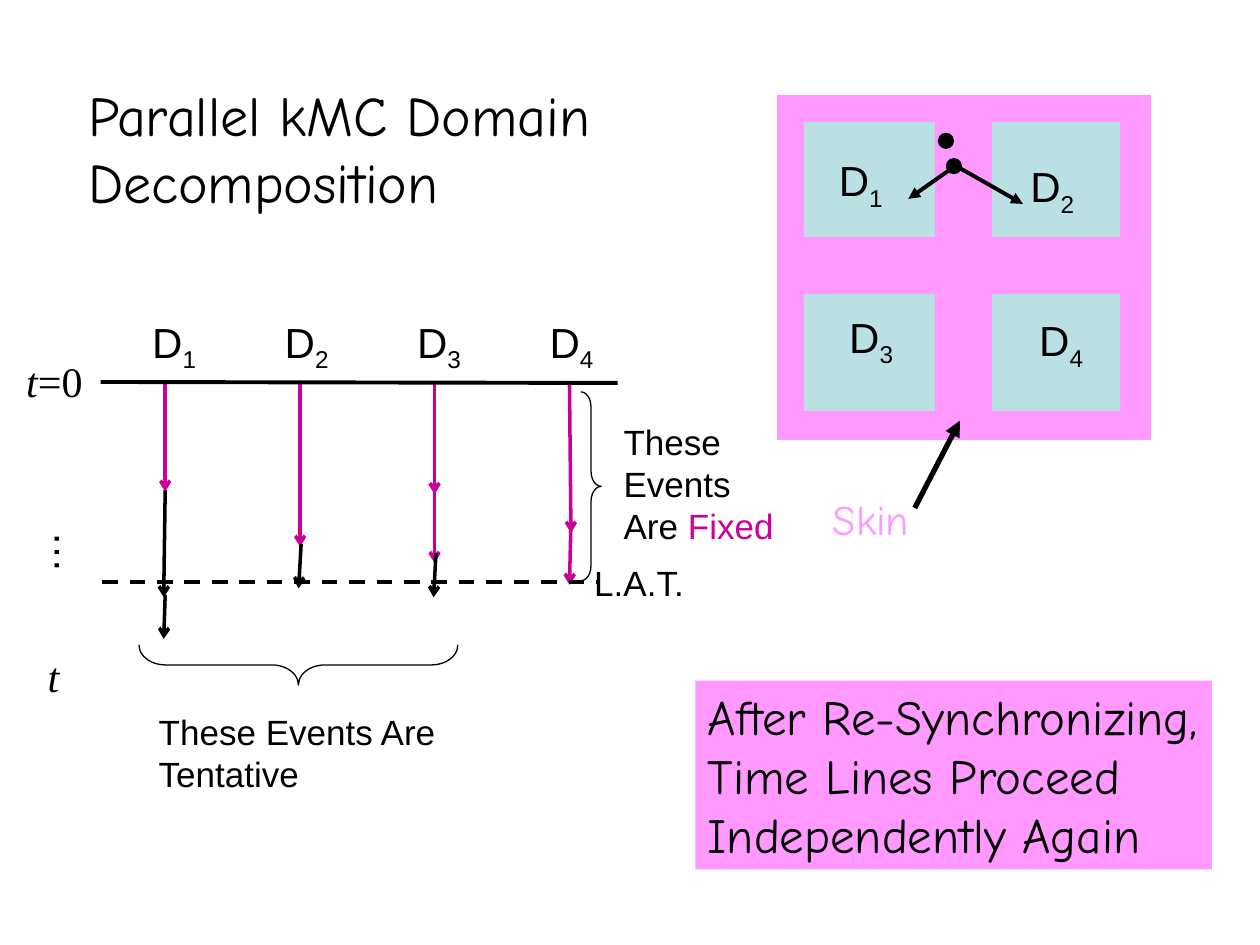
from dataclasses import dataclass

from lxml import etree
from pptx import Presentation
from pptx.dml.color import RGBColor
from pptx.enum.dml import MSO_LINE
from pptx.enum.shapes import MSO_CONNECTOR, MSO_SHAPE
from pptx.enum.text import MSO_ANCHOR, MSO_AUTO_SIZE, PP_ALIGN
from pptx.oxml.ns import qn
from pptx.util import Cm, Pt

RECT, OVAL, BRACE = MSO_SHAPE.RECTANGLE, MSO_SHAPE.OVAL, MSO_SHAPE.RIGHT_BRACE
STRAIGHT, DASH = MSO_CONNECTOR.STRAIGHT, MSO_LINE.DASH
TOP, LEFT, GROW = MSO_ANCHOR.TOP, PP_ALIGN.LEFT, MSO_AUTO_SIZE.SHAPE_TO_FIT_TEXT

COLORS = {"black": "000000", "fixed": "CC0099", "skin": "FF99FF", "domain": "BBE0E3"}
FORMATS = {
    "title": {"name": "Comic Neue", "size": Pt(32)},
    "callout": {"name": "Comic Neue", "size": Pt(28)},
    "skin": {"name": "Comic Neue", "size": Pt(24)},
    "domain": {"name": "Arial", "size": Pt(24)},
    "note": {"name": "Arial", "size": Pt(20)},
    "time": {"name": "Times New Roman", "size": Pt(24)},
}


@dataclass
class Box:
    left: float
    top: float
    width: float
    height: float
    rotation: float = 0


@dataclass
class Run:
    text: str
    color: str = "black"
    italic: bool = False
    subscript: bool = False


@dataclass
class Line:
    x1: float
    y1: float
    x2: float
    y2: float
    color: str = "black"
    width: float = 2
    head: str = "arrow"
    dash: bool = False


def rgb(name: str) -> RGBColor:
    return RGBColor.from_string(COLORS[name])


def place(sp, box: Box) -> None:
    sp.left, sp.top = Cm(box.left), Cm(box.top)
    sp.width, sp.height = Cm(box.width), Cm(box.height)
    sp.rotation = box.rotation


def write(sp, paragraphs: list[list[Run]], style: str) -> None:
    tf = sp.text_frame
    frame = {"word_wrap": False, "auto_size": GROW, "vertical_anchor": TOP}
    for key, value in frame.items():
        setattr(tf, key, value)
    for i, runs in enumerate(paragraphs):
        p = tf.add_paragraph() if i else tf.paragraphs[0]
        p.alignment = LEFT
        for run in runs:
            r = p.add_run()
            r.text = run.text
            for key, value in FORMATS[style].items():
                setattr(r.font, key, value)
            r.font.italic = run.italic
            r.font.color.rgb = rgb(run.color)
            if run.subscript:
                r.font._element.set("baseline", "-25000")


def add_text(s, box: Box, paragraphs: list[list[Run]], style: str) -> None:
    sp = s.shapes.add_textbox(0, 0, 0, 0)
    place(sp, box)
    write(sp, paragraphs, style)


def add_domain_label(s, number: int, left: float, top: float) -> None:
    runs = [Run("D"), Run(str(number), subscript=True)]
    add_text(s, Box(left, top, 1.4, 1.42), [runs], "domain")


def add_shape(s, kind, box: Box, fill: str = "", line: str = ""):
    sp = s.shapes.add_shape(kind, 0, 0, 0, 0)
    place(sp, box)
    sp.shadow.inherit = False
    if fill:
        sp.fill.solid()
        sp.fill.fore_color.rgb = rgb(fill)
    else:
        sp.fill.background()
    if line:
        sp.line.color.rgb = rgb(line)
        sp.line.width = Pt(0.75)
    else:
        sp.line.fill.background()
    return sp


def add_line(s, line: Line) -> None:
    ends = (Cm(v) for v in (line.x1, line.y1, line.x2, line.y2))
    cx = s.shapes.add_connector(STRAIGHT, *ends)
    cx.line.color.rgb = rgb(line.color)
    cx.line.width = Pt(line.width)
    if line.dash:
        cx.line.dash_style = DASH
    if line.head:
        etree.SubElement(cx.line._get_or_add_ln(), qn("a:tailEnd"), type=line.head)
    etree.SubElement(cx._element.spPr, qn("a:effectLst"))


def add_timelines(s) -> None:
    # Events on each domain's time line
    for line in (
        Line(3.33, 11.99, 3.3, 12.88),
        Line(3.33, 9.88, 3.3, 12.04),
        Line(3.33, 7.75, 3.33, 9.91, "fixed"),
        Line(11.51, 10.52, 11.48, 11.79, "fixed"),
        Line(11.48, 7.75, 11.51, 10.74, "fixed"),
        Line(8.76, 9.65, 8.76, 11.35, "fixed"),
        Line(8.76, 7.75, 8.76, 9.96, "fixed"),
        Line(8.79, 11.15, 8.74, 12.04),
        Line(6.05, 7.75, 6.05, 11.02, "fixed"),
        Line(6.07, 10.97, 6.02, 11.86),
        Line(2.03, 7.7, 12.45, 7.72, width=2.25, head=""),
        Line(2.06, 11.73, 12.04, 11.73, width=2.25, head="", dash=True),
    ):
        add_line(s, line)
    for i in range(4):
        add_domain_label(s, i + 1, 2.82 + 2.67 * i, 6.25)

    # Time axis labels
    t = Run("t", italic=True)
    add_text(s, Box(0.28, 7.04, 1.85, 1.27), [[t, Run("=0")]], "time")
    add_text(s, Box(0.18, 10.49, 1.35, 1.27, 270), [[Run("…")]], "domain")
    add_text(s, Box(0.71, 12.98, 0.74, 1.27), [[t]], "time")

    # Braces and their notes
    for box, bend in ((Box(11.71, 7.9, 0.41, 3.81), 0.75),
                      (Box(5.61, 10.19, 0.81, 6.43, 90), 0.66)):
        add_shape(s, BRACE, box, line="black").adjustments[0] = bend
    fixed = [[Run("These")], [Run("Events")], [Run("Are "), Run("Fixed", "fixed")]]
    add_text(s, Box(12.32, 8.36, 3.53, 2.79), fixed, "note")
    tentative = [[Run("These Events Are")], [Run("Tentative")]]
    add_text(s, Box(2.95, 14.2, 6.12, 1.96), tentative, "note")
    add_text(s, Box(11.73, 11.2, 2.39, 1.12), [[Run("L.A.T.")]], "note")


def add_domain_map(s) -> None:
    # Four domains in a two by two grid
    for i in range(4):
        row, col = divmod(i, 2)
        cell = Box(15.67 + 3.76 * col, 1.93 + 3.43 * row, 3.76, 3.45)
        add_shape(s, RECT, cell, "domain", "black")
    label_places = [(16.66, 3), (20.52, 3.12), (16.87, 6.15), (20.7, 6.22)]
    for number, (left, top) in enumerate(label_places, 1):
        add_domain_label(s, number, left, top)

    # Skin along the borders
    for band in (Box(18.87, 1.96, 1.12, 6.83), Box(15.67, 4.8, 7.52, 1.12),
                 Box(15.67, 1.92, 7.52, 0.53), Box(15.67, 8.29, 7.52, 0.56),
                 Box(15.67, 1.92, 0.52, 6.93), Box(22.59, 1.92, 0.6, 6.93)):
        add_shape(s, RECT, band, "skin", "skin")
    add_text(s, Box(16.54, 9.83, 2.3, 1.27), [[Run("Skin", "skin")]], "skin")

    # Particles and pointers
    for left, top in ((18.92, 2.69), (19.08, 3.2)):
        add_shape(s, OVAL, Box(left, top, 0.3, 0.3), "black", "black")
    for line in (Line(18.44, 10.24, 19.35, 8.48, width=3, head="triangle"),
                 Line(19.25, 3.35, 18.31, 4.01, width=2.25, head="triangle"),
                 Line(19.28, 3.35, 20.62, 4.11, width=2.25, head="triangle")):
        add_line(s, line)


def main() -> None:
    prs = Presentation()
    prs.slide_width, prs.slide_height = Cm(25.4), Cm(19.05)
    s = prs.slides.add_slide(prs.slide_layouts[5])

    title = s.shapes.title
    place(title, Box(1.52, 1.5, 10.72, 2.97))
    write(title, [[Run("Parallel kMC Domain")], [Run("Decomposition")]], "title")

    add_timelines(s)
    add_domain_map(s)

    # Closing statement
    callout = add_shape(s, RECT, Box(14.02, 13.72, 10.41, 3.81), "skin")
    lines = ("After Re-Synchronizing,", "Time Lines Proceed", "Independently Again")
    write(callout, [[Run(text)] for text in lines], "callout")

    prs.save("out.pptx")


if __name__ == "__main__":
    main()
